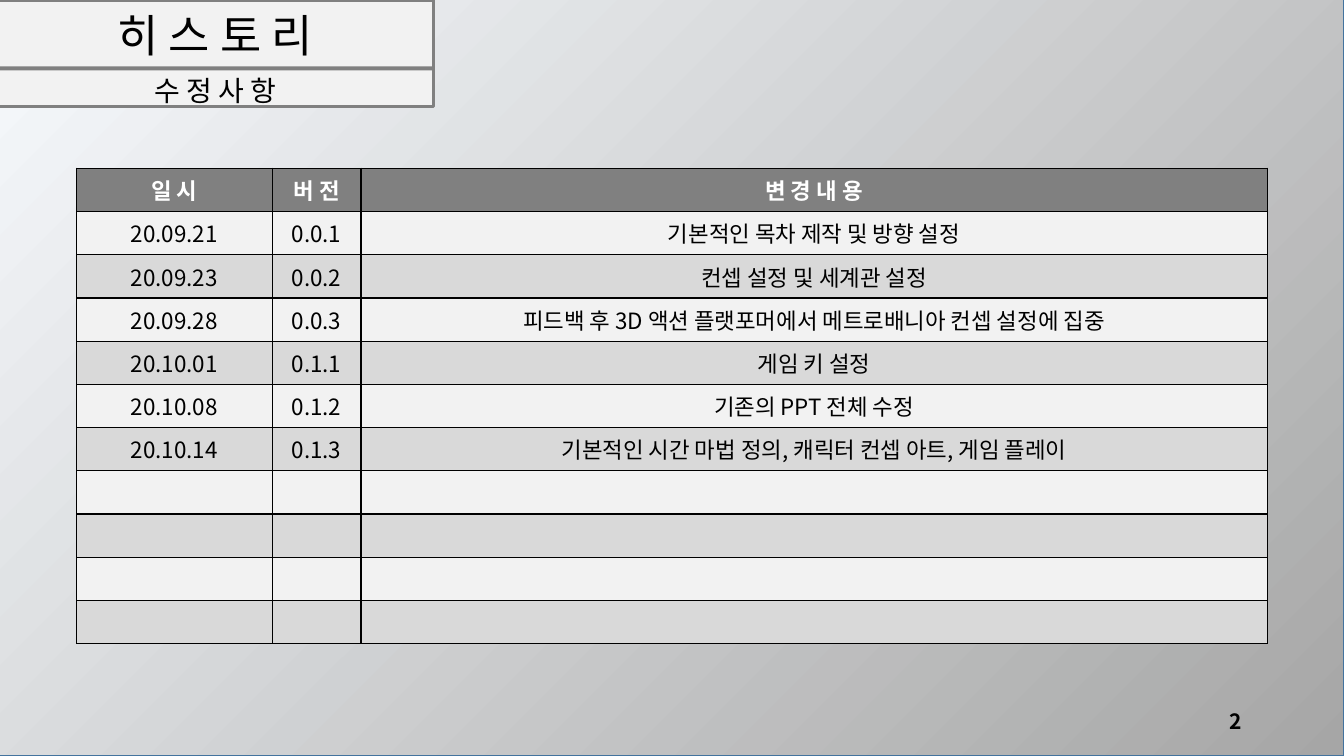
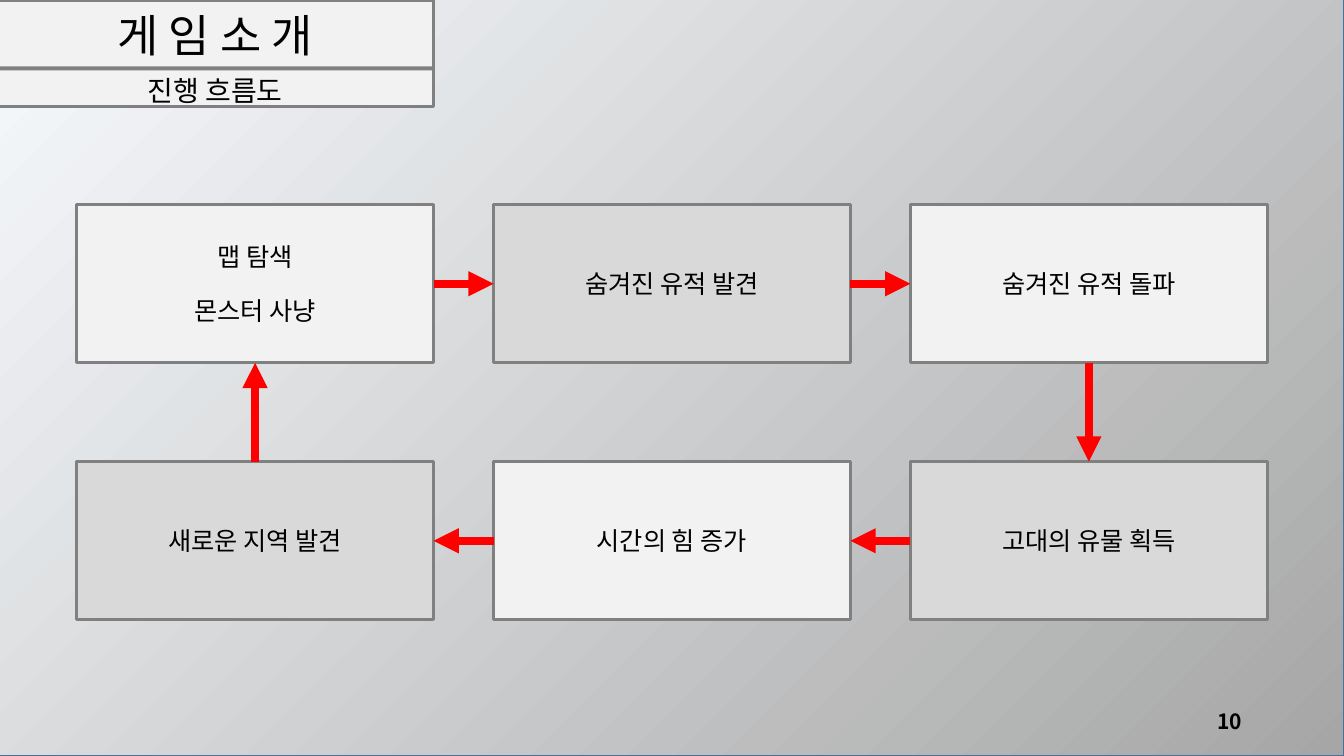
from dataclasses import dataclass
from typing import NamedTuple

from lxml.etree import SubElement
from pptx import Presentation
from pptx.dml.color import RGBColor as RGB
from pptx.enum.shapes import MSO_CONNECTOR as Line, MSO_SHAPE as Shape
from pptx.enum.text import MSO_ANCHOR as Anchor, PP_ALIGN as Align
from pptx.oxml.ns import qn
from pptx.util import Inches, Pt


@dataclass(frozen=True)
class Theme:
    font: str = "Noto Sans CJK KR"
    black: str = "000000"
    white: str = "FFFFFF"
    grey: str = "808080"
    red: str = "FF0000"
    edge: str = "43739E"
    fade: tuple = ("F7FAFD", "A6A6A6")
    tones: tuple = ("F2F2F2", "D9D9D9")
    title: int = 32
    sub: int = 20
    step: int = 18
    cell: int = 16
    page: int = 15
    rule: float = 2.25
    arrow: int = 6


class Box(NamedTuple):
    x: float
    y: float
    w: float
    h: float

    def inches(self):
        return [Inches(n) for n in self]


T = Theme()
WIDE, HIGH = 13.33, 7.5
HEAD = Box(-0.03, 0, 4.33, 1.06)
LOG = Box(0.76, 1.67, 11.81, 4.72)
FLOW = Box(0.76, 2.03, 11.81, 4.12)
PAGE = Box(9.42, 6.95, 3, 0.4)

CHANGES = [
    ("일 시", "버 전", "변 경 내 용"),
    ("20.09.21", "0.0.1", "기본적인 목차 제작 및 방향 설정"),
    ("20.09.23", "0.0.2", "컨셉 설정 및 세계관 설정"),
    ("20.09.28", "0.0.3", "피드백 후 3D 액션 플랫포머에서 메트로배니아 컨셉 설정에 집중"),
    ("20.10.01", "0.1.1", "게임 키 설정"),
    ("20.10.08", "0.1.2", "기존의 PPT 전체 수정"),
    ("20.10.14", "0.1.3", "기본적인 시간 마법 정의, 캐릭터 컨셉 아트, 게임 플레이"),
]
COLS = (1.94, 0.88, 8.99)
ROWS = 11

# Clockwise: row, column, text, side the arrow leaves by, side it enters by
TOP, LEFT, BOTTOM, RIGHT = range(4)
STEPS = [
    (0, 0, "맵 탐색\n몬스터 사냥", RIGHT, LEFT),
    (0, 1, "숨겨진 유적 발견", RIGHT, LEFT),
    (0, 2, "숨겨진 유적 돌파", BOTTOM, TOP),
    (1, 2, "고대의 유물 획득", LEFT, RIGHT),
    (1, 1, "시간의 힘 증가", LEFT, RIGHT),
    (1, 0, "새로운 지역 발견", TOP, BOTTOM),
]


def rgb(code):
    return RGB.from_string(code)


def put(frame, text, size, color=T.black, bold=False, align=Align.CENTER,
        anchor=Anchor.MIDDLE, lead=None, gap=0):
    """Fill a text frame, one paragraph per line of text."""
    frame.word_wrap = True
    frame.vertical_anchor = anchor
    for i, words in enumerate(text.split("\n")):
        para = frame.add_paragraph() if i else frame.paragraphs[0]
        para.alignment = align
        if lead:
            para.line_spacing = lead
        if i:
            para.space_before = Pt(gap)
        run = para.add_run()
        run.text = words
        font = run.font
        font.size, font.bold, font.name = Pt(size), bold, T.font
        font.color.rgb = rgb(color)
        SubElement(run._r.get_or_add_rPr(), qn("a:ea"), typeface=T.font)


def label(slide, box, text, size, **fmt):
    put(slide.shapes.add_textbox(*box.inches()).text_frame, text, size, **fmt)


def rect(slide, box, fill=None, line=None, width=T.rule):
    shape = slide.shapes.add_shape(Shape.RECTANGLE, *box.inches())
    shape.shadow.inherit = False
    if fill:
        shape.fill.solid()
        shape.fill.fore_color.rgb = rgb(fill)
    if line:
        shape.line.color.rgb = rgb(line)
        shape.line.width = Pt(width)
    else:
        shape.line.fill.background()
    return shape


def back(slide, box):
    fill = rect(slide, box, line=T.edge, width=1).fill
    fill.gradient()
    fill.gradient_angle = 315
    for stop, code, pos in zip(fill.gradient_stops, T.fade, (0, 1)):
        stop.color.rgb = rgb(code)
        stop.position = pos


def header(slide, box, title, sub):
    x, y, w, h = box
    rect(slide, box, T.tones[0], T.grey)
    rect(slide, Box(x, y + 0.66, w, 0.04), T.grey)
    fmt = dict(anchor=Anchor.BOTTOM, lead=0.9)
    label(slide, Box(x + 0.09, y + 0.02, w - 0.18, 0.65), title, T.title, **fmt)
    label(slide, Box(x + 0.09, y + 0.79, w - 0.18, 0.33), sub, T.sub, **fmt)


def border(cell):
    props = cell._tc.get_or_add_tcPr()
    for side in ("lnL", "lnR", "lnT", "lnB"):
        line = SubElement(props, qn(f"a:{side}"), w=str(Pt(1)))
        fill = SubElement(line, qn("a:solidFill"))
        SubElement(fill, qn("a:srgbClr"), val=T.black)


def log(slide, box):
    """Draw the change table, with blank rows left for later entries."""
    table = slide.shapes.add_table(ROWS, len(COLS), *box.inches()).table
    for col, width in zip(table.columns, COLS):
        col.width = Inches(width)
    for r, row in enumerate(table.rows):
        row.height = Inches(box.h / ROWS)
        for c, cell in enumerate(row.cells):
            border(cell)
            cell.fill.solid()
            cell.fill.fore_color.rgb = rgb(T.tones[(r - 1) % 2] if r else T.grey)
            if r < len(CHANGES):
                put(cell.text_frame, CHANGES[r][c], T.cell, bold=r == 0,
                    color=T.black if r else T.white)
                cell.vertical_anchor = Anchor.MIDDLE


def arrow(slide, start, out, end, into):
    link = slide.shapes.add_connector(Line.STRAIGHT, 0, 0, 0, 0)
    link.begin_connect(start, out)
    link.end_connect(end, into)
    link.line.color.rgb = rgb(T.red)
    link.line.width = Pt(T.arrow)
    SubElement(link.line._get_or_add_ln(), qn("a:tailEnd"), type="triangle")
    SubElement(link._element.spPr, qn("a:effectLst"))


def flow(slide, box):
    """Draw the loop of steps on a grid of two rows and three columns."""
    w, h = 3.54, 1.57
    dx, dy = (box.w - w) / 2, box.h - h
    cards = []
    for row, col, text, *_ in STEPS:
        spot = Box(box.x + col * dx, box.y + row * dy, w, h)
        card = rect(slide, spot, T.tones[(row + col) % 2], T.grey)
        put(card.text_frame, text, T.step, gap=17)
        cards.append(card)
    for i, (*_, out, into) in enumerate(STEPS):
        arrow(slide, cards[i], out, cards[(i + 1) % len(cards)], into)


def page(deck, title, sub, number, body, box):
    slide = deck.slides.add_slide(deck.slide_layouts[6])
    back(slide, Box(-0.03, -0.01, WIDE + 0.03, HIGH + 0.01))
    header(slide, HEAD, title, sub)
    label(slide, PAGE, number, T.page, bold=True, align=Align.RIGHT)
    body(slide, box)


def main():
    deck = Presentation()
    deck.slide_width, deck.slide_height = Inches(WIDE), Inches(HIGH)
    page(deck, "히 스 토 리", "수 정 사 항", "2", log, LOG)
    page(deck, "게 임 소 개", "진행 흐름도", "10", flow, FLOW)
    deck.save("out.pptx")


if __name__ == "__main__":
    main()
